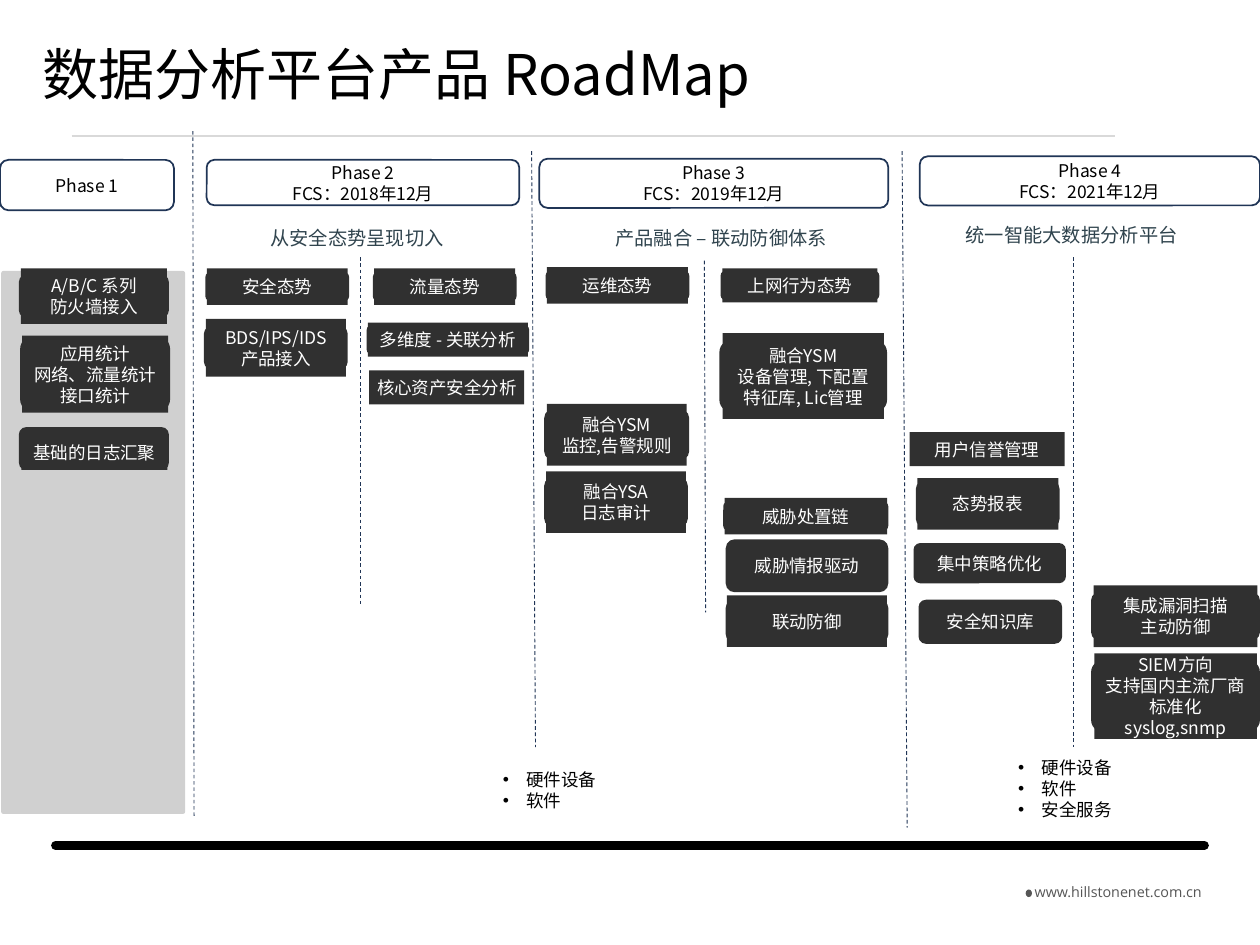
import pptx
import pptx.dml.color
import pptx.enum.dml
import pptx.enum.shapes
import pptx.enum.text
import pptx.oxml.ns
import pptx.util
from lxml import etree

Pt = pptx.util.Pt
SHAPE = pptx.enum.shapes.MSO_SHAPE
ALIGN = pptx.enum.text.PP_ALIGN
ANCHOR = pptx.enum.text.MSO_ANCHOR
FONT = "Noto Sans CJK SC"
DARK, NAVY, BLACK, WHITE, SLATE, GREY = "303030", "203556", "000000", "FFFFFF", "30444E", "565656"

PHASES = [
    ((0, 91.4, 99.4, 28.8), (96.5, 19.4), ["Phase 1"]),
    ((118.1, 91.4, 178.6, 25.9), (176.4, 33.1), ["Phase 2", "FCS：2018年12月"]),
    ((308.2, 90.7, 199.4, 28.1), (196.6, 33.1), ["Phase 3", "FCS：2019年12月"]),
    ((525.6, 89.3, 194.4, 28.1), (192.2, 33.1), ["Phase 4", "FCS：2021年12月"]),
]
THEMES = [
    ((137.5, 126), "从安全态势呈现切入"),
    ((345.6, 126), "产品融合 – 联动防御体系"),
    ((545.8, 123.8), "统一智能大数据分析平台"),
]
DIVIDERS = [
    (110.2, 74.9, 110.9, 467.3),
    (303.8, 86.4, 306, 427),
    (515.5, 86.4, 518.4, 473),
    (613.4, 146.9, 613.4, 427),
    (205.9, 146.9, 205.9, 345.6),
    (402.5, 149, 403.2, 349.9),
]
CARDS = [
    ((10.8, 157, 85.7, 24.5), (83.5, 31.7), ["A/B/C 系列", "防火墙接入"]),
    ((11.5, 192.2, 85.7, 43.2), (83.5, 43.9), ["应用统计", "网络、流量统计", "接口统计"]),
    ((117.4, 155.5, 82.1, 16.6), (80.6, 20.9), ["安全态势"]),
    ((116.6, 186.5, 82.1, 24.5), (79.9, 33.1), ["BDS/IPS/IDS", "产品接入"]),
    ((213.1, 155.5, 82.1, 16.6), (80.6, 20.9), ["流量态势"]),
    ((209.5, 185.8, 92.9, 16.6), (91.4, 19.4), ["多维度 - 关联分析"]),
    ((311.8, 154.8, 82.1, 16.6), (80.6, 20.9), ["运维态势"]),
    ((311, 234, 82.8, 28.8), (79.9, 35.3), ["融合YSM", "监控,告警规则"]),
    ((311, 272.9, 82.1, 28.1), (79.9, 35.3), ["融合YSA", "日志审计"]),
    ((411.8, 154.8, 90.7, 16.6), (88.6, 19.4), ["上网行为态势"]),
    ((411.1, 194.4, 95.8, 41), (92.2, 49), ["融合YSM", "设备管理, 下配置", "特征库, Lic管理"]),
    ((413.3, 286.6, 94.3, 16.6), (92.9, 20.9), ["威胁处置链"]),
    ((414.7, 308.2, 92.9, 30.2), (91.4, 19.4), ["威胁情报驱动"]),
    ((414.7, 343.4, 92.9, 23), (91.4, 29.5), ["联动防御"]),
    ((523.4, 275, 82.1, 25.9), (80.6, 29.5), ["态势报表"]),
    ((522, 310.3, 87.1, 23), (83.5, 10.8), ["集中策略优化"]),
    ((524.9, 342.7, 82.1, 25.2), (80.6, 19.4), ["安全知识库"]),
    ((623.5, 338.4, 96.5, 27.4), (93.6, 35.3), ["集成漏洞扫描", "主动防御"]),
    ((623.5, 377.3, 96.5, 41), (92.9, 49), ["SIEM方向", "支持国内主流厂商", "标准化syslog,snmp"]),
]
LABELS = [
    ((12.2, 249.1, 83.5, 19.4), "基础的日志汇聚"),
    ((211, 211.7, 88.6, 19.4), "核心资产安全分析"),
    ((519.8, 247, 88.6, 19.4), "用户信誉管理"),
]
OFFERS = [
    ((283.7, 435.6, 73.4, 35.3), ["硬件设备", "软件"]),
    ((578.2, 429.1, 90, 49), ["硬件设备", "软件", "安全服务"]),
]


def rgb(value):
    """Turn a hex string into a colour."""
    return pptx.dml.color.RGBColor.from_string(value)


def add_child(parent, tag, **attributes):
    """Append a drawing element to an XML parent."""
    return etree.SubElement(parent, pptx.oxml.ns.qn(tag), attributes)


def centred(area, size):
    """Return the area of the given size centred on another area."""
    left, top, width, height = area
    return left + (width - size[0]) / 2, top + (height - size[1]) / 2, *size


def write(shape, lines, color, size=10, font=FONT, align=ALIGN.CENTER, anchor=ANCHOR.MIDDLE,
          inset=3.6, spacing=None, bullet=False):
    """Write one paragraph per line into a shape."""
    frame = shape.text_frame
    frame.word_wrap = True
    frame.vertical_anchor = anchor
    frame.margin_left = frame.margin_right = Pt(inset)
    frame.margin_top = frame.margin_bottom = Pt(3.6)
    for index, line in enumerate(lines):
        para = frame.add_paragraph() if index else frame.paragraphs[0]
        para.alignment = align
        if spacing:
            para.line_spacing = spacing
        if bullet:
            properties = para._p.get_or_add_pPr()
            properties.set("marL", str(Pt(13.5)))
            properties.set("indent", str(-Pt(13.5)))
            add_child(properties, "a:buFont", typeface="Arial")
            add_child(properties, "a:buChar", char="•")
        span = para.add_run()
        span.text = line
        span.font.size = Pt(size)
        span.font.name = font
        span.font.color.rgb = rgb(color)
        add_child(span._r.get_or_add_rPr(), "a:ea", typeface=font)


def add_text(page, area, lines, color, **style):
    """Add a text box."""
    box = page.shapes.add_textbox(*map(Pt, area))
    write(box, lines, color, **style)


def add_block(page, kind, area, fill, outline=None, corner=None, alpha=None):
    """Add a filled preset shape."""
    block = page.shapes.add_shape(kind, *map(Pt, area))
    block.shadow.inherit = False
    block.fill.solid()
    block.fill.fore_color.rgb = rgb(fill)
    if outline:
        block.line.color.rgb = rgb(outline)
        block.line.width = Pt(1)
    else:
        block.line.fill.background()
    if corner is not None:
        block.adjustments[0] = corner
    if alpha:
        tint = block.fill._xPr.find(".//" + pptx.oxml.ns.qn("a:srgbClr"))
        add_child(tint, "a:alpha", val=str(alpha * 1000))
    return block


def add_line(page, ends, color, width, dashed=False, rounded=False):
    """Add a straight line."""
    line = page.shapes.add_connector(pptx.enum.shapes.MSO_CONNECTOR.STRAIGHT, *map(Pt, ends))
    line.line.color.rgb = rgb(color)
    line.line.width = Pt(width)
    if dashed:
        line.line.dash_style = pptx.enum.dml.MSO_LINE.DASH
    if rounded:
        line.line._get_or_add_ln().set("cap", "rnd")
    add_child(line._element.spPr, "a:effectLst")


def add_label(page, area, lines):
    """Add a dark rectangle with white text."""
    write(add_block(page, SHAPE.RECTANGLE, area, DARK), lines, WHITE)


def add_card(page, plate, size, lines):
    """Add a rounded plate with a label centred on it."""
    add_block(page, SHAPE.ROUNDED_RECTANGLE, plate, DARK, corner=0.167)
    add_label(page, centred(plate, size), lines)


def add_phase(page, plate, size, lines):
    """Add an outlined phase heading."""
    add_block(page, SHAPE.ROUNDED_RECTANGLE, plate, WHITE, outline=NAVY, corner=0.167)
    add_text(page, centred(plate, size), lines, BLACK)


def add_frame(page):
    """Add the title, the rules and the footer."""
    add_line(page, (31.7, 483.1, 688.3, 483.1), BLACK, 5, rounded=True)
    add_text(page, (576, 496.1, 126, 22.3), ["www.hillstonenet.com.cn"], GREY, size=8.2,
             font="Open Sans", anchor=ANCHOR.TOP, inset=2.9, spacing=1.5)
    add_block(page, SHAPE.OVAL, (586.1, 508.3, 3.6, 4.3), GREY)
    add_line(page, (41, 77.8, 637.2, 77.8), "D9D9D9", 1.5)
    add_text(page, (17.3, 20.2, 486, 48.2), ["数据分析平台产品 RoadMap"], BLACK, size=32,
             align=ALIGN.LEFT, inset=7.2, spacing=0.9)


def main():
    """Build the roadmap slide."""
    deck = pptx.Presentation()
    deck.slide_width, deck.slide_height = Pt(720), Pt(540)
    page = deck.slides.add_slide(deck.slide_layouts[6])
    add_frame(page)
    add_block(page, SHAPE.ROUNDED_RECTANGLE, (0.7, 154.8, 105.1, 310.3), "808080",
              corner=0.013, alpha=37)
    for ends in DIVIDERS:
        add_line(page, ends, NAVY, 0.5, dashed=True)
    for phase in PHASES:
        add_phase(page, *phase)
    for corner, theme in THEMES:
        add_text(page, (*corner, 133.2, 20.9), [theme], SLATE, size=11, anchor=ANCHOR.TOP)
    for card in CARDS:
        add_card(page, *card)
    add_block(page, SHAPE.ROUNDED_RECTANGLE, (10.8, 244.1, 85.7, 24.5), DARK, corner=0.167)
    for area, label in LABELS:
        add_label(page, area, [label])
    for area, offers in OFFERS:
        add_text(page, area, offers, BLACK, align=ALIGN.LEFT, anchor=ANCHOR.TOP, bullet=True)
    deck.save("out.pptx")


if __name__ == "__main__":
    main()
